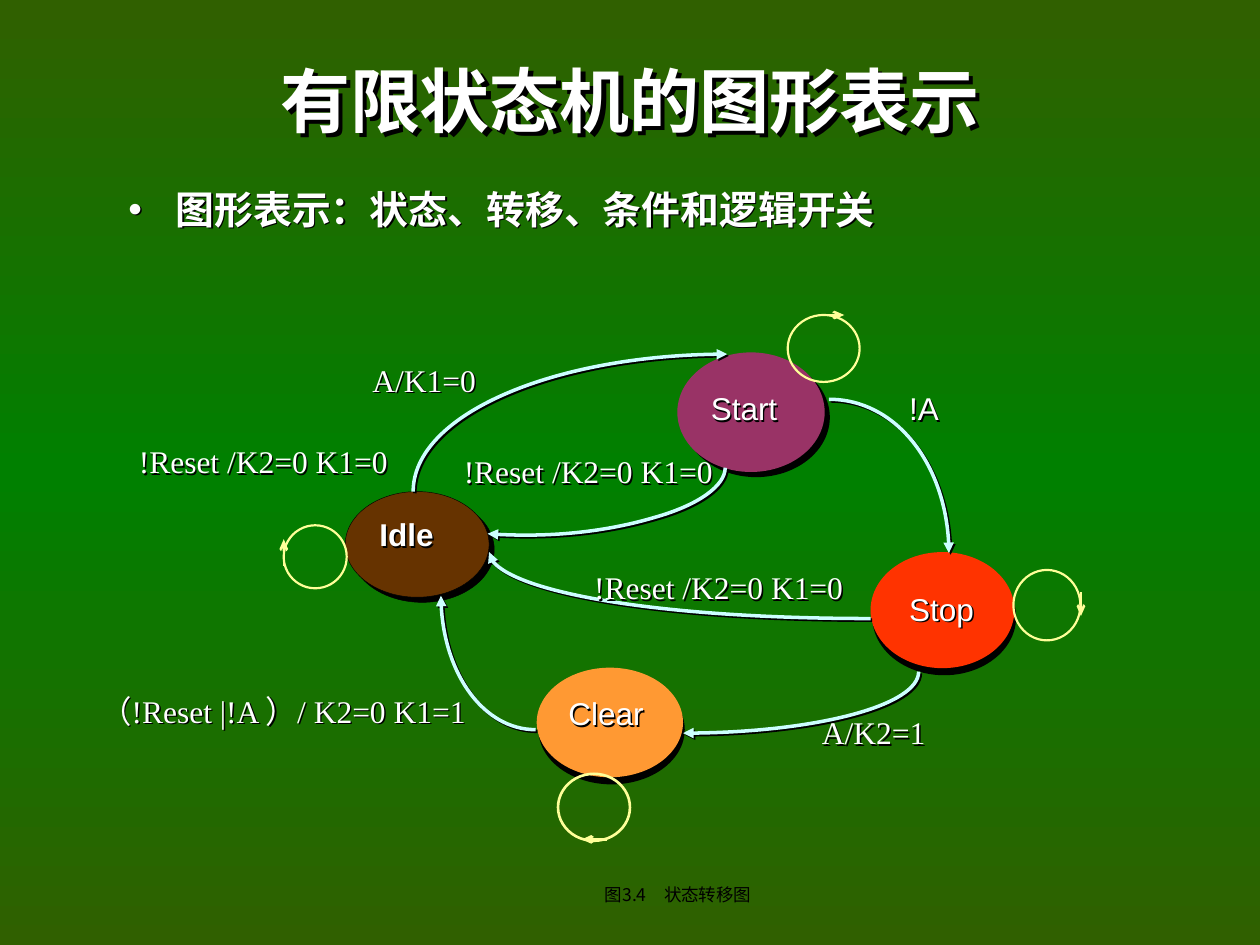
import copy
from dataclasses import dataclass
from typing import Optional

import pptx
import pptx.dml.color
import pptx.enum.shapes
import pptx.enum.text
import pptx.oxml
import pptx.oxml.ns
import pptx.util

Cm = pptx.util.Cm
Pt = pptx.util.Pt
qn = pptx.oxml.ns.qn
ALIGN = pptx.enum.text.PP_ALIGN
ANCHOR = pptx.enum.text.MSO_ANCHOR
OVAL = pptx.enum.shapes.MSO_SHAPE.OVAL

SERIF, SANS, CJK = "Times New Roman", "Arial", "Noto Sans CJK SC"
WHITE, BLACK, CURVE, LOOP = "FFFFFF", "000000", "CCFFFF", "FFFF99"
LABEL_HEIGHT = 1.35
INSETS = (0.25, 0.13)
TIGHT = (0.03, 0.03)


@dataclass
class State:
    left: float
    top: float
    width: float
    height: float
    fill: str
    shadow_angle: int
    line: Optional[str] = None
    line_width: float = 0


@dataclass
class Label:
    text: str
    left: float
    top: float
    width: float
    font: str = SERIF
    bold: bool = False


@dataclass
class SelfLoop:
    left: float
    top: float
    width: float
    height: float
    start: tuple
    tip: tuple
    line_width: float = 1.25


STATES = [
    State(17.55, 11.13, 2.9, 2.34, "FF3300", 76),
    State(13.69, 7.14, 2.9, 2.34, "993366", 45, "993366", 2),
    State(10.82, 13.46, 2.95, 2.21, "FF9933", 76),
    State(6.96, 9.91, 2.9, 2.13, "663300", 45, BLACK, 0.25),
]

# Each transition: a start point, then two controls and an end per Bezier piece.
TRANSITIONS = [
    [(8.33, 9.91), (8.33, 8.38), (11.18, 7.14), (14.66, 7.14)],
    [(16.71, 8.05), (18.06, 8.05), (19.13, 9.45), (19.13, 11.15)],
    [(18.52, 13.54), (18.52, 14.22), (16.38, 14.78), (13.77, 14.78)],
    [(10.8, 14.71), (9.75, 14.71), (8.89, 13.49), (8.89, 12.01)],
    [(14.62, 9.43), (14.62, 9.79), (14.09, 10.18), (13.2, 10.43),
     (12.26, 10.71), (11.05, 10.85), (9.83, 10.76)],
    [(17.55, 12.47), (13.31, 12.47), (9.86, 11.86), (9.86, 11.13)],
]

LABELS = [
    Label("Idle", 7.62, 10.36, 2.08, SANS, True),
    Label("Start", 14.3, 7.82, 2.11, SANS),
    Label("Stop", 18.3, 11.86, 2.39, SANS),
    Label("Clear", 11.43, 13.97, 1.98, SANS),
    Label("A/K1=0", 7.48, 7.24, 2.41),
    Label("!A", 18.3, 7.82, 2.41, SANS),
    Label("A/K2=1", 16.54, 14.35, 2.41),
    Label("!Reset /K2=0 K1=0", 11.95, 11.43, 5.31),
    Label("!Reset /K2=0 K1=0", 9.32, 9.09, 5.28),
    Label("（!Reset |!A ）/ K2=0 K1=1", 1.99, 13.92, 8.05),
    Label("!Reset /K2=0 K1=0", 2.77, 8.89, 5.28),
]

LOOPS = [
    SelfLoop(5.72, 10.59, 1.27, 1.27, (5.72, 11.4), (5.72, 10.87)),
    SelfLoop(15.88, 6.35, 1.45, 1.35, (16.51, 6.35), (17.02, 6.35)),
    SelfLoop(20.43, 11.49, 1.35, 1.42, (21.79, 11.94), (21.79, 12.42)),
    SelfLoop(11.25, 15.6, 1.45, 1.35, (12.24, 16.92), (11.73, 16.92), 1.5),
]


def rgb(value: str):
    return pptx.dml.color.RGBColor.from_string(value)


def element(tag: str, **attributes):
    item = pptx.oxml.parse_xml(f"<{tag} {pptx.oxml.ns.nsdecls('a')}/>")
    for name, value in attributes.items():
        item.set(name, str(value))
    return item


def add_shadow(shape, distance: float, angle: int = 45):
    effects = element("a:effectLst")
    shadow = element("a:outerShdw", dist=Pt(distance), dir=angle * 60000,
                     algn="ctr", rotWithShape=0)
    shadow.append(element("a:srgbClr", val=BLACK))
    effects.append(shadow)
    shape._element.spPr.append(effects)


def set_line(item, color: str, width: float, arrow: Optional[str] = None,
             arrow_width: str = "med"):
    item.line.color.rgb = rgb(color)
    item.line.width = Pt(width)
    if arrow:
        item.line._get_or_add_ln().append(
            element("a:tailEnd", type=arrow, w=arrow_width))


def add_span(para, text: str, size: float, font: str, color: str = WHITE,
             bold: bool = False):
    span = para.add_run()
    span.text = text
    span.font.size = Pt(size)
    span.font.bold = bold
    span.font.name = font
    span.font.color.rgb = rgb(color)
    latin = span.font._element.find(qn("a:latin"))
    latin.addnext(element("a:ea", typeface=CJK))


def prepare_text(box, left: float, top: float, width: float, height: float,
                 align, insets: tuple = INSETS, anchor=ANCHOR.TOP,
                 shadow: float = 1.2):
    """Place the box, set its frame and return its first paragraph."""
    box.left, box.top = Cm(left), Cm(top)
    box.width, box.height = Cm(width), Cm(height)
    box.fill.background()
    if shadow:
        add_shadow(box, shadow)
    frame = box.text_frame
    frame.word_wrap = True
    frame.auto_size = pptx.enum.text.MSO_AUTO_SIZE.NONE
    frame.vertical_anchor = anchor
    frame.margin_left = frame.margin_right = Cm(insets[0])
    frame.margin_top = frame.margin_bottom = Cm(insets[1])
    para = frame.paragraphs[0]
    para.alignment = align
    para.space_before = Pt(0)
    return para


def paint_background(page):
    fill = page.background.fill
    fill.gradient()
    fill.gradient_angle = 90
    stops = next(page._element.iter(qn("a:gsLst")))
    stops.append(copy.deepcopy(stops[0]))
    for stop, position, color in zip(fill.gradient_stops, (0, 0.5, 1),
                                     ("306000", "008000", "306000")):
        stop.position = position
        stop.color.rgb = rgb(color)


def add_oval(page, oval):
    return page.shapes.add_shape(OVAL, Cm(oval.left), Cm(oval.top),
                                 Cm(oval.width), Cm(oval.height))


def draw_state(page, state: State):
    shape = add_oval(page, state)
    shape.fill.solid()
    shape.fill.fore_color.rgb = rgb(state.fill)
    if state.line:
        set_line(shape, state.line, state.line_width)
    else:
        shape.line.fill.background()
    add_shadow(shape, 4.2, state.shadow_angle)


def draw_transition(page, points: list):
    first, *rest = [(Cm(x), Cm(y)) for x, y in points]
    builder = page.shapes.build_freeform(*first)
    builder.add_line_segments(rest, close=False)
    curve = builder.convert_to_shape()
    segments = list(curve._element.iter(qn("a:lnTo")))
    for index in range(0, len(segments), 3):
        bezier = element("a:cubicBezTo")
        segments[index].addprevious(bezier)
        for segment in segments[index:index + 3]:
            bezier.append(segment[0])
            segment.getparent().remove(segment)
    curve.fill.background()
    set_line(curve, CURVE, 2, "triangle")
    add_shadow(curve, 1.4)


def draw_label(page, label: Label):
    box = page.shapes.add_textbox(0, 0, 0, 0)
    para = prepare_text(box, label.left, label.top, label.width, LABEL_HEIGHT,
                        ALIGN.JUSTIFY, TIGHT)
    add_span(para, label.text, 18, label.font, bold=label.bold)


def draw_loop(page, loop: SelfLoop):
    arrow = page.shapes.add_connector(
        pptx.enum.shapes.MSO_CONNECTOR.STRAIGHT,
        *(Cm(value) for value in loop.start + loop.tip))
    set_line(arrow, LOOP, loop.line_width, "arrow", "sm")
    arrow._element.spPr.append(element("a:effectLst"))
    ring = add_oval(page, loop)
    ring.shadow.inherit = False
    ring.fill.background()
    set_line(ring, LOOP, loop.line_width)


def fill_texts(page):
    para = prepare_text(page.shapes.title, 1.9, 0.64, 21.59, 2.74,
                        ALIGN.CENTER, anchor=ANCHOR.MIDDLE, shadow=3.5)
    add_span(para, "有限状态机的图形表示", 40, SERIF, bold=True)

    para = prepare_text(page.placeholders[1], 2.34, 3.61, 21.59, 1.27, ALIGN.LEFT)
    properties = para._p.get_or_add_pPr()
    properties.set("marL", str(Cm(0.95)))
    properties.set("indent", str(-Cm(0.95)))
    bullet_color = element("a:buClr")
    bullet_color.append(element("a:srgbClr", val=WHITE))
    properties.append(bullet_color)
    properties.append(element("a:buChar", char="•"))
    add_span(para, "图形表示：状态、转移、条件和逻辑开关", 22.2, SERIF, bold=True)

    caption = page.shapes.add_textbox(0, 0, 0, 0)
    para = prepare_text(caption, 7.37, 17.7, 12.6, 1.35, ALIGN.CENTER, shadow=0)
    add_span(para, "图3.4　状态转移图", 10, CJK, BLACK)


def main():
    deck = pptx.Presentation()
    deck.slide_width, deck.slide_height = Cm(25.4), Cm(19.05)
    page = deck.slides.add_slide(deck.slide_layouts[1])
    paint_background(page)
    fill_texts(page)
    for draw, items in ((draw_state, STATES), (draw_transition, TRANSITIONS),
                        (draw_label, LABELS), (draw_loop, LOOPS)):
        for item in items:
            draw(page, item)
    deck.save("out.pptx")


if __name__ == "__main__":
    main()
